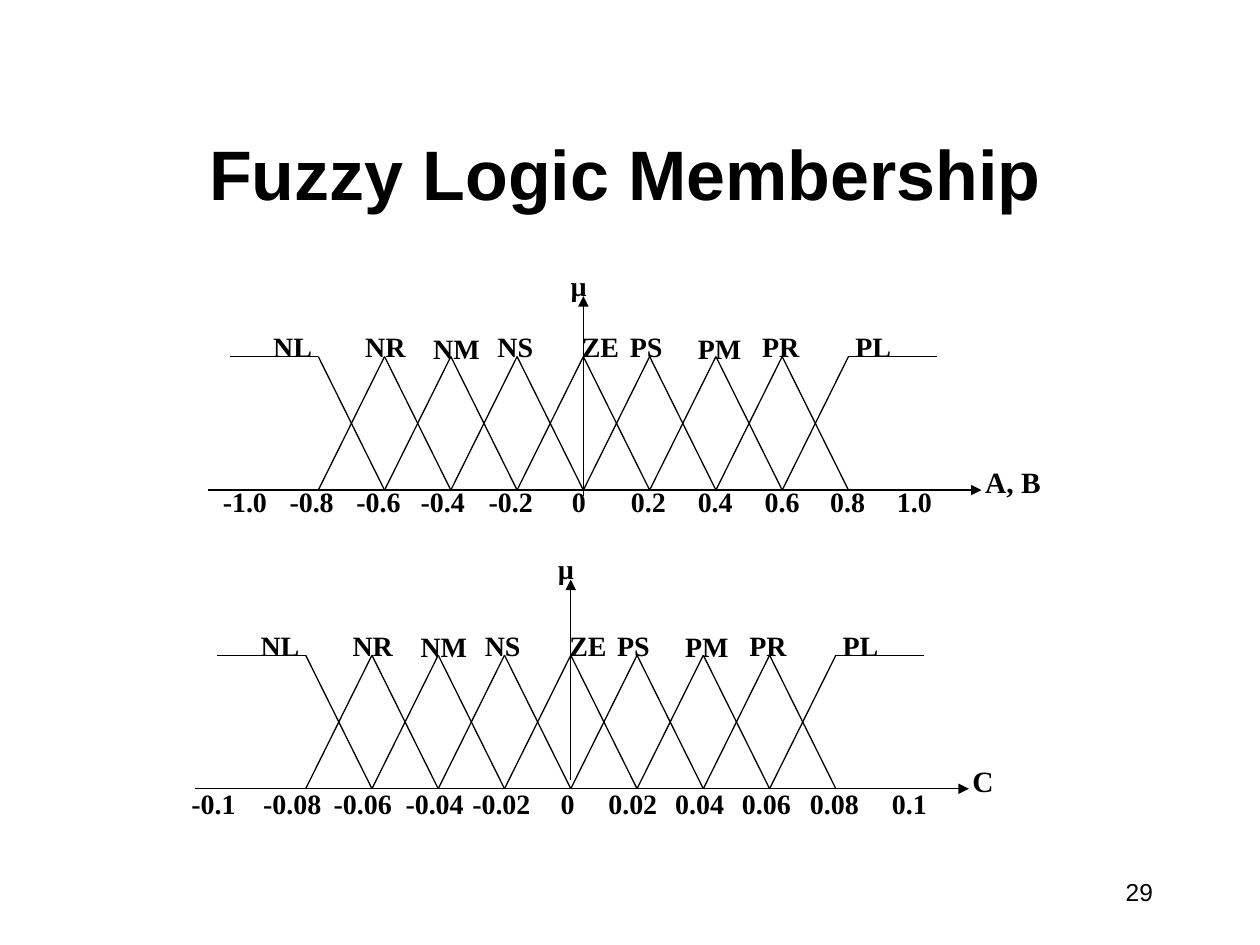
"""Builds the fuzzy logic membership slide with two membership plots."""
from pptx import Presentation
from pptx import util as u
from pptx.dml.color import RGBColor
from pptx.enum import shapes, text
from pptx.oxml import parse_xml
from pptx.oxml.ns import nsdecls

COLORS = {"ink": "000000"}
LABEL = {"name": "Times New Roman", "size": u.Pt(16), "bold": True}
AXIS_NAME = {**LABEL, "size": u.Pt(16.8)}
TITLE = {"name": "Arial", "size": u.Pt(40), "bold": True}
NUMBER = {"name": "Arial", "size": u.Pt(14), "bold": False}

STEP = 0.526
HEIGHT = 1.06
PLATEAU = 0.7
SET_OFFSETS = {"NL": -2.56, "NR": -1.83, "NM": -1.29, "NS": -0.78, "ZE": -0.11,
               "PS": 0.27, "PM": 0.81, "PR": 1.32, "PL": 2.06}

PLOTS = [
    {"x": 4.63, "top": 2.83, "axis": (3.94, 2.35), "name": "A, B",
     "tick_top": 3.8, "tick_width": 0.77,
     "ticks": {"-1.0": 1.67, "-0.8": 2.2, "-0.6": 2.73, "-0.4": 3.24,
               "-0.2": 3.78, "0": 4.44, "0.2": 4.91, "0.4": 5.44,
               "0.6": 5.97, "0.8": 6.49, "1.0": 7.02}},
    {"x": 4.53, "top": 5.2, "axis": (6.19, 4.6), "name": "C",
     "tick_top": 6.19, "tick_width": 0.85,
     "ticks": {"-0.1": 1.42, "-0.08": 1.99, "-0.06": 2.55, "-0.04": 3.12,
               "-0.02": 3.65, "0": 4.35, "0.02": 4.73, "0.04": 5.26,
               "0.06": 5.79, "0.08": 6.33, "0.1": 6.98}},
]


def add_text(s, words, box, font, align="LEFT", anchor="TOP", spacing=None, wrap=True):
    """Add a one-paragraph text box."""
    tf = s.shapes.add_textbox(*map(u.Inches, box)).text_frame
    tf.word_wrap = wrap
    tf.vertical_anchor = getattr(text.MSO_ANCHOR, anchor)
    p = tf.paragraphs[0]
    p.alignment = getattr(text.PP_ALIGN, align)
    p.line_spacing = spacing
    r = p.add_run()
    r.text = words
    for key, value in font.items():
        setattr(r.font, key, value)
    r.font.color.rgb = RGBColor.from_string(COLORS["ink"])


def add_line(s, x1, y1, x2, y2, arrow=False):
    """Add a thin straight line, with an arrowhead at its end if asked."""
    sp = s.shapes.add_connector(shapes.MSO_CONNECTOR.STRAIGHT,
                                *map(u.Inches, (x1, y1, x2, y2)))
    sp.line.width = u.Pt(0.75)
    sp.line.color.rgb = RGBColor.from_string(COLORS["ink"])
    if arrow:
        sp.line._get_or_add_ln().append(
            parse_xml(f'<a:tailEnd {nsdecls("a")} type="triangle"/>'))
    sp._element.spPr.append(parse_xml(f'<a:effectLst {nsdecls("a")}/>'))


def add_plot(s, plot):
    """Add one membership plot with its axes, sets and labels."""
    x, top = plot["x"], plot["top"]
    base = top + HEIGHT
    start, tip = plot["axis"]
    add_line(s, x, start, x, tip, arrow=True)
    add_line(s, x - 2.98, base, x + 3.16, base, arrow=True)
    for i in range(-4, 4):
        left, right = x + i * STEP, x + (i + 1) * STEP
        add_line(s, left, top, right, base)
        add_line(s, left, base, right, top)
    for side in (-1, 1):
        edge = x + side * 4 * STEP
        add_line(s, edge, top, edge + side * PLATEAU, top)

    add_text(s, "µ", (x - 0.2, tip - 0.27, 0.7, 0.4), LABEL)
    add_text(s, plot["name"], (x + 3.09, base - 0.2, 1.04, 0.4), AXIS_NAME, spacing=0.8)
    for name, offset in SET_OFFSETS.items():
        drop = 0.01 if name.endswith("M") else 0
        add_text(s, name, (x + offset, top - 0.26 + drop, 0.7, 0.4), LABEL)
    for value, left in plot["ticks"].items():
        add_text(s, value, (left, plot["tick_top"], plot["tick_width"], 0.4), LABEL)


def main():
    """Build and save the slide."""
    prs = Presentation()
    prs.slide_width, prs.slide_height = u.Inches(10), u.Inches(7.5)
    s = prs.slides.add_slide(prs.slide_layouts[6])
    add_text(s, "29", (8.58, 6.83, 0.67, 0.5), NUMBER, "RIGHT", "MIDDLE", wrap=False)
    add_text(s, "Fuzzy Logic Membership", (0.67, 1, 8.58, 0.75), TITLE, "CENTER", "BOTTOM")
    for plot in PLOTS:
        add_plot(s, plot)
    prs.save("out.pptx")


if __name__ == "__main__":
    main()
